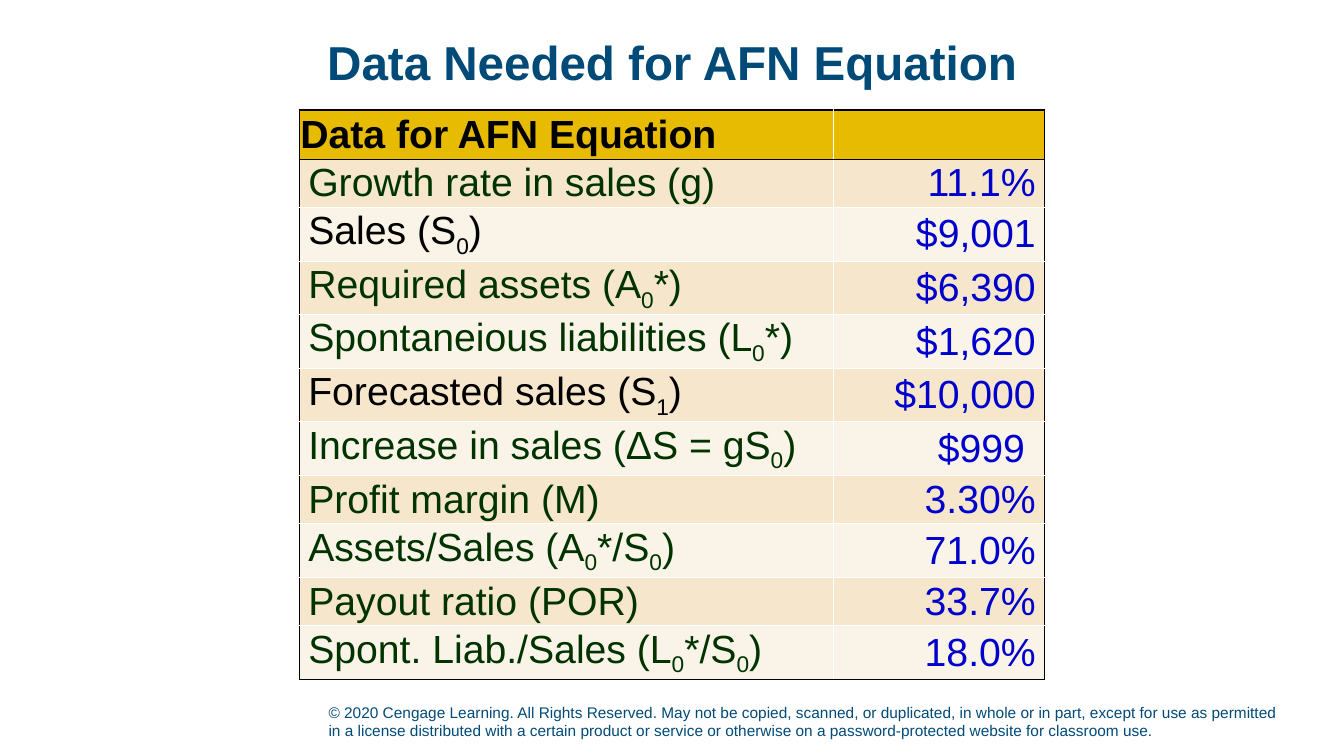
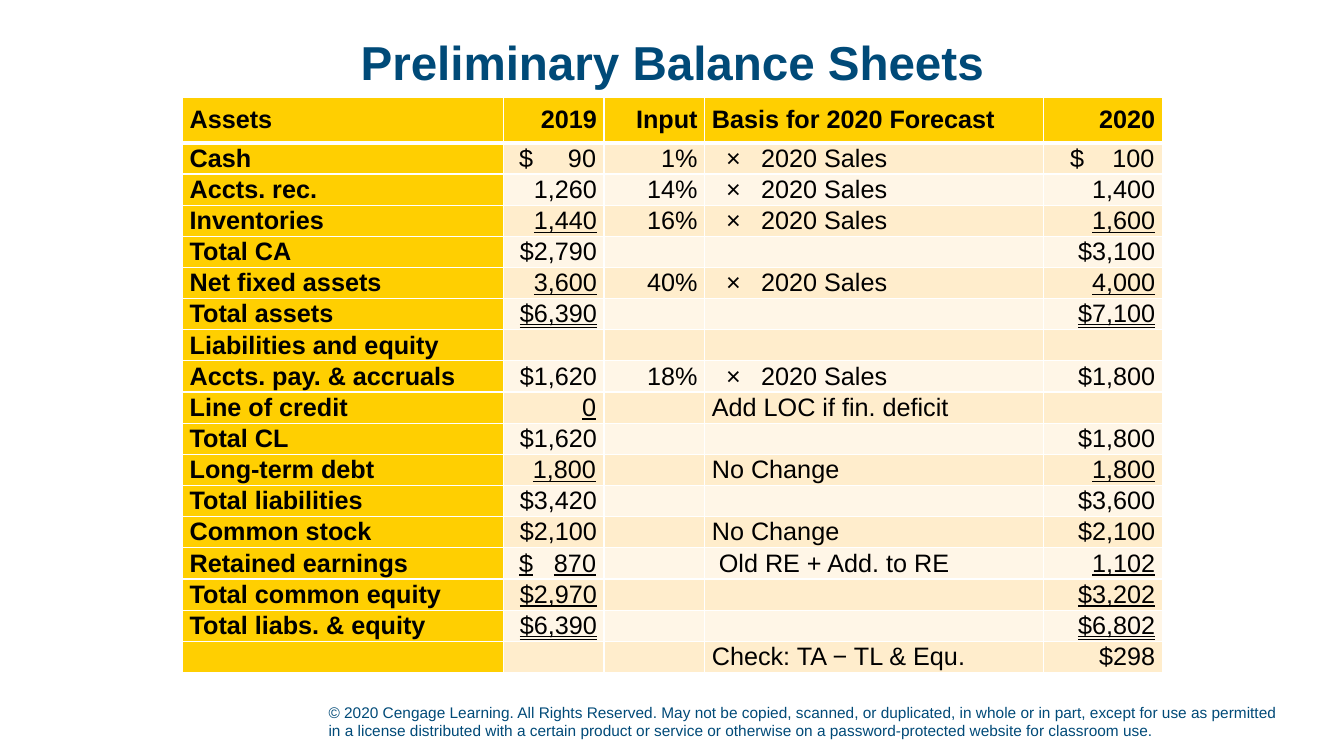
"""Build two slides: the inputs of the AFN equation and preliminary balance sheets."""
from dataclasses import dataclass

from lxml import etree
from pptx import Presentation
from pptx.dml.color import RGBColor
from pptx.enum import text as t
from pptx.oxml.ns import qn
from pptx.util import Cm, Pt


@dataclass(frozen=True)
class Theme:
    font: str = "Arial"
    navy: str = "004A78"
    black: str = "000000"
    white: str = "FFFFFF"
    green: str = "003300"
    blue: str = "0000CC"
    data_head: str = "E7BB01"
    data_bands: tuple = ("F6E7CC", "FAF3E7")
    sheet_head: str = "FFCF01"
    sheet_bands: tuple = ("FFEDCC", "FFF6E7")
    title_size: int = 34
    data_size: int = 28
    sheet_size: int = 18
    footer_size: int = 11


THEME = Theme()
LEFT, CENTER, RIGHT = t.PP_ALIGN.LEFT, t.PP_ALIGN.CENTER, t.PP_ALIGN.RIGHT
MIDDLE, BOTTOM = t.MSO_ANCHOR.MIDDLE, t.MSO_ANCHOR.BOTTOM
UNDERLINES = {"_": t.MSO_UNDERLINE.SINGLE_LINE, "=": t.MSO_UNDERLINE.DOUBLE_LINE}

FOOTER = (
    "© 2020 Cengage Learning. All Rights Reserved. May not be copied, scanned, or duplicated, "
    "in whole or in part, except for use as permitted in a license distributed with a certain "
    "product or service or otherwise on a password-protected website for classroom use."
)

DATA_TITLE = "Data Needed for AFN Equation"
DATA_COLUMNS = (13.46, 5.33)
DATA_ROWS = [
    ("Data for AFN Equation", ""),
    ("Growth rate in sales (g)", "11.1%"),
    ("Sales (S_0)", "$9,001"),
    ("Required assets (A_0*)", "$6,390"),
    ("Spontaneious liabilities (L_0*)", "$1,620"),
    ("Forecasted sales (S_1)", "$10,000"),
    ("Increase in sales (ΔS = gS_0)", "$999 "),
    ("Profit margin (M)", "3.30%"),
    ("Assets/Sales (A_0*/S_0)", "71.0%"),
    ("Payout ratio (POR)", "33.7%"),
    ("Spont. Liab./Sales (L_0*/S_0)", "18.0%"),
]
BLACK_LABELS = {"Sales (S_0)", "Forecasted sales (S_1)"}

SHEET_TITLE = "Preliminary Balance Sheets"
SHEET_COLUMNS = (8.08, 2.54, 2.54, 8.53, 3)
SHEET_ALIGNS = (LEFT, RIGHT, RIGHT, LEFT, RIGHT)
SALES_BASIS = "\t×\t2020 Sales"
SHEET_ROWS = [
    ("Assets", "2019", "Input", "Basis for 2020 Forecast", "2020"),
    ("Cash", "\t$\t90", "1%", SALES_BASIS, "\t$\t100"),
    ("Accts. rec.", "1,260", "14%", SALES_BASIS, "1,400"),
    ("Inventories", "_1,440", "16%", SALES_BASIS, "_1,600"),
    ("Total CA", "$2,790", "", "", "$3,100"),
    ("Net fixed assets", "_3,600", "40%", SALES_BASIS, "_4,000"),
    ("Total assets", "=$6,390", "", "", "=$7,100"),
    ("Liabilities and equity", "", "", "", ""),
    ("Accts. pay. & accruals", "$1,620", "18%", SALES_BASIS, "$1,800"),
    ("Line of credit", "\t_\t0", "", "Add LOC if fin. deficit", "\t_\t"),
    ("Total CL", "$1,620", "", "", "$1,800"),
    ("Long-term debt", "\t_\t1,800", "", "No Change", "_1,800"),
    ("Total liabilities", "$3,420", "", "", "$3,600"),
    ("Common stock", "$2,100", "", "No Change", "$2,100"),
    ("Retained earnings", "\t_$\t870", "", " Old RE + Add. to RE", "_1,102"),
    ("Total common equity", "_$2,970", "", "", "_$3,202"),
    ("Total liabs. & equity", "=$6,390", "", "", "=$6,802"),
    ("", "", "", "Check: TA − TL & Equ.", "$298"),
]
SHEET_TABS = {
    1: ((0.22, "l"), (2.16, "r")),
    3: ((0.36, "l"), (1.24, "l")),
    4: ((0.5, "l"), (2.62, "r")),
}
CREDIT_TABS = {1: ((0.4, "l"), (2.16, "r")), 4: ((0.86, "l"), (2.62, "r"))}


def write(frame, spans, size, color, bold=False, align=LEFT, spacing=None, tabs=()):
    """Fill the first paragraph of a frame with (text, underline, baseline) spans."""
    para = frame.paragraphs[0]
    para.alignment = align
    if spacing:
        para.line_spacing = spacing
    if tabs:
        stops = etree.SubElement(para._p.get_or_add_pPr(), qn("a:tabLst"))
        for position, kind in tabs:
            etree.SubElement(stops, qn("a:tab"), pos=str(Cm(position)), algn=kind)
    for words, underline, baseline in spans:
        span = para.add_run()
        span.text = words
        span.font.name = THEME.font
        span.font.size = Pt(size)
        span.font.bold = bold
        span.font.color.rgb = RGBColor.from_string(color)
        if underline:
            span.font.underline = underline
        if baseline:
            span.font._element.set("baseline", str(baseline))


def plain(words):
    """Return one unformatted span, or none for empty text."""
    return [(words, None, 0)] if words else []


def subscripted(words):
    """Split text so that the character after each underscore is lowered."""
    first, *rest = words.split("_")
    spans = plain(first)
    for part in rest:
        spans += [(part[0], None, -25000)] + plain(part[1:])
    return spans


def underlined(words):
    """Split text so that all after an underline mark is underlined."""
    for mark, style in UNDERLINES.items():
        before, found, after = words.partition(mark)
        if found:
            return plain(before) + [(after, style, 0)]
    return plain(words)


def add_text(page, area, words, anchor, **style):
    """Place a wrapped text box."""
    box = page.shapes.add_textbox(*map(Cm, area))
    box.text_frame.word_wrap = True
    box.text_frame.vertical_anchor = anchor
    write(box.text_frame, plain(words), **style)


def add_page(deck, title):
    """Add a blank slide with the shared title and footer."""
    page = deck.slides.add_slide(deck.slide_layouts[6])
    add_text(page, (8.03, 17.5, 24.46, 1.27), FOOTER, BOTTOM,
             size=THEME.footer_size, color=THEME.navy)
    add_text(page, (2.34, 0.38, 29.21, 2.54), title, MIDDLE, size=THEME.title_size,
             color=THEME.navy, bold=True, align=CENTER, spacing=0.9)
    return page


def add_grid(page, left, top, columns, heights):
    """Add an unstyled table with the given column widths and row heights."""
    frame = page.shapes.add_table(len(heights), len(columns), Cm(left), Cm(top),
                                  Cm(sum(columns)), Cm(sum(heights)))
    table = frame.table
    table.first_row = table.horz_banding = False
    for column, width in zip(table.columns, columns):
        column.width = Cm(width)
    for row, height in zip(table.rows, heights):
        row.height = Cm(height)
    return table


def dress(cell, fill, inset, edges):
    """Set borders, fill, insets and anchor; edges maps L, R, T, B to (colour, points)."""
    properties = cell._tc.get_or_add_tcPr()
    for side in "LRTB":
        color, width = edges.get(side, (THEME.white, 1))
        line = etree.SubElement(properties, qn(f"a:ln{side}"), w=str(Pt(width)))
        solid = etree.SubElement(line, qn("a:solidFill"))
        etree.SubElement(solid, qn("a:srgbClr"), val=color)
    cell.fill.solid()
    cell.fill.fore_color.rgb = RGBColor.from_string(fill)
    cell.margin_left = cell.margin_right = Cm(inset)
    cell.margin_top = cell.margin_bottom = 0
    cell.vertical_anchor = MIDDLE


def build_data(deck):
    """Build the slide with the equation inputs."""
    page = add_page(deck, DATA_TITLE)
    last = len(DATA_ROWS) - 1
    table = add_grid(page, 7.54, 2.77, DATA_COLUMNS, [1.24] + [1.22] * last)
    outline = (THEME.black, 1)
    for r, row in enumerate(DATA_ROWS):
        head = r == 0
        for c, words in enumerate(row):
            edges = {"R" if c else "L": outline}
            if r <= 1:
                edges["T"] = outline
            if r in (0, last):
                edges["B"] = outline
            fill = THEME.data_head if head else THEME.data_bands[(r - 1) % 2]
            cell = table.cell(r, c)
            dress(cell, fill, 0.03 if head else 0.23, edges)
            label = THEME.black if head or words in BLACK_LABELS else THEME.green
            write(cell.text_frame, subscripted(words), size=THEME.data_size, bold=head,
                  color=THEME.blue if c else label, align=RIGHT if c else LEFT)


def build_sheet(deck):
    """Build the slide with the balance sheets."""
    page = add_page(deck, SHEET_TITLE)
    count = len(SHEET_ROWS) - 1
    head_height, total_height = 1.14, 14.5
    row_height = (total_height - head_height) / count
    table = add_grid(page, 4.6, 2.46, SHEET_COLUMNS, [head_height] + [row_height] * count)
    thick = {0: {"B": (THEME.white, 3)}, 1: {"T": (THEME.white, 3)}}
    for r, row in enumerate(SHEET_ROWS):
        stops = CREDIT_TABS if row[0] == "Line of credit" else SHEET_TABS
        for c, words in enumerate(row):
            strong = r == 0 or c == 0
            tabbed = "\t" in words
            cell = table.cell(r, c)
            dress(cell, THEME.sheet_head if strong else THEME.sheet_bands[(r - 1) % 2],
                  0.18, thick.get(r, {}))
            write(cell.text_frame, underlined(words), size=THEME.sheet_size,
                  color=THEME.black, bold=strong, tabs=stops[c] if tabbed else (),
                  align=LEFT if tabbed else SHEET_ALIGNS[c])


def main():
    """Build and save the deck."""
    deck = Presentation()
    deck.slide_width, deck.slide_height = Cm(33.87), Cm(19.05)
    build_data(deck)
    build_sheet(deck)
    deck.save("out.pptx")


if __name__ == "__main__":
    main()
